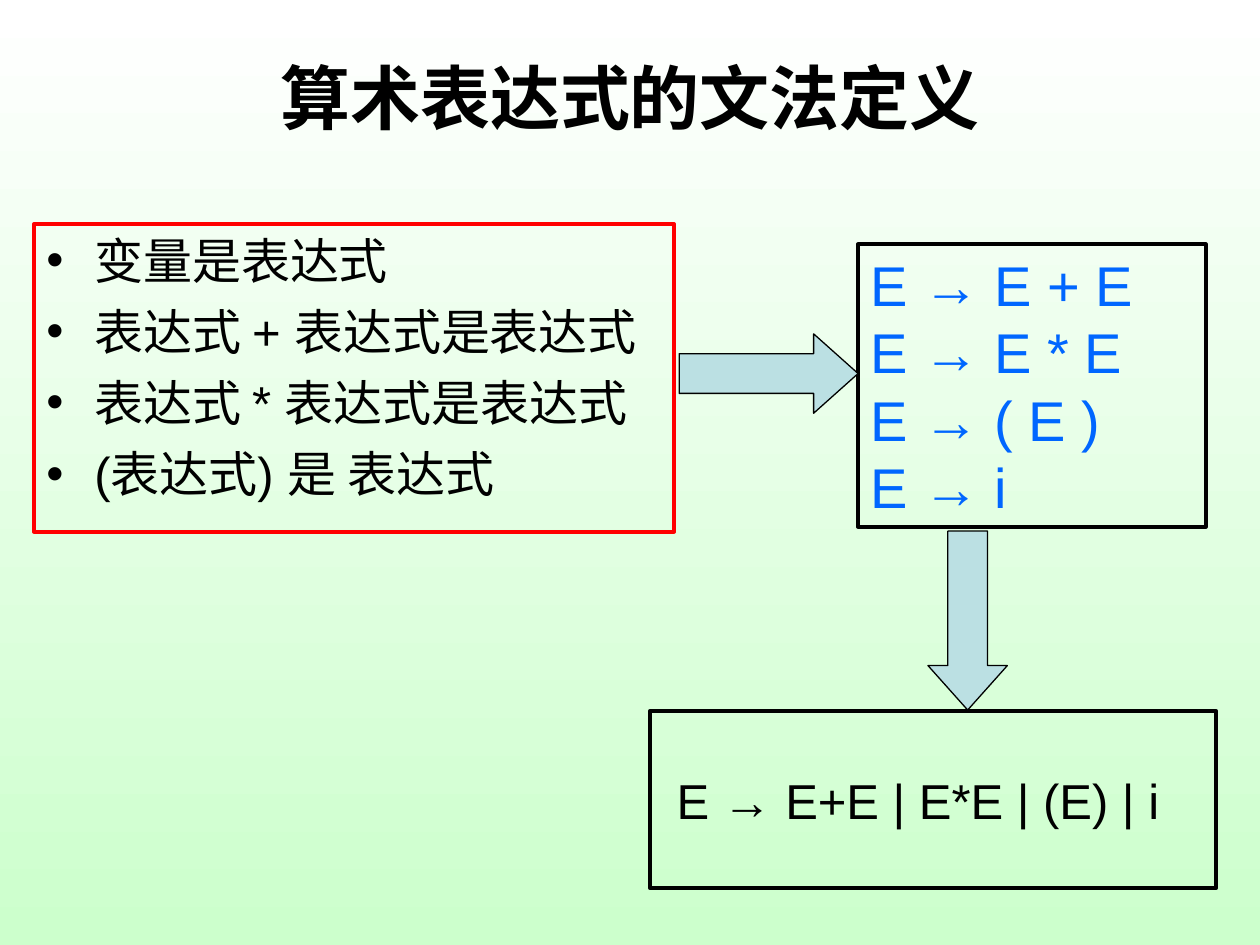
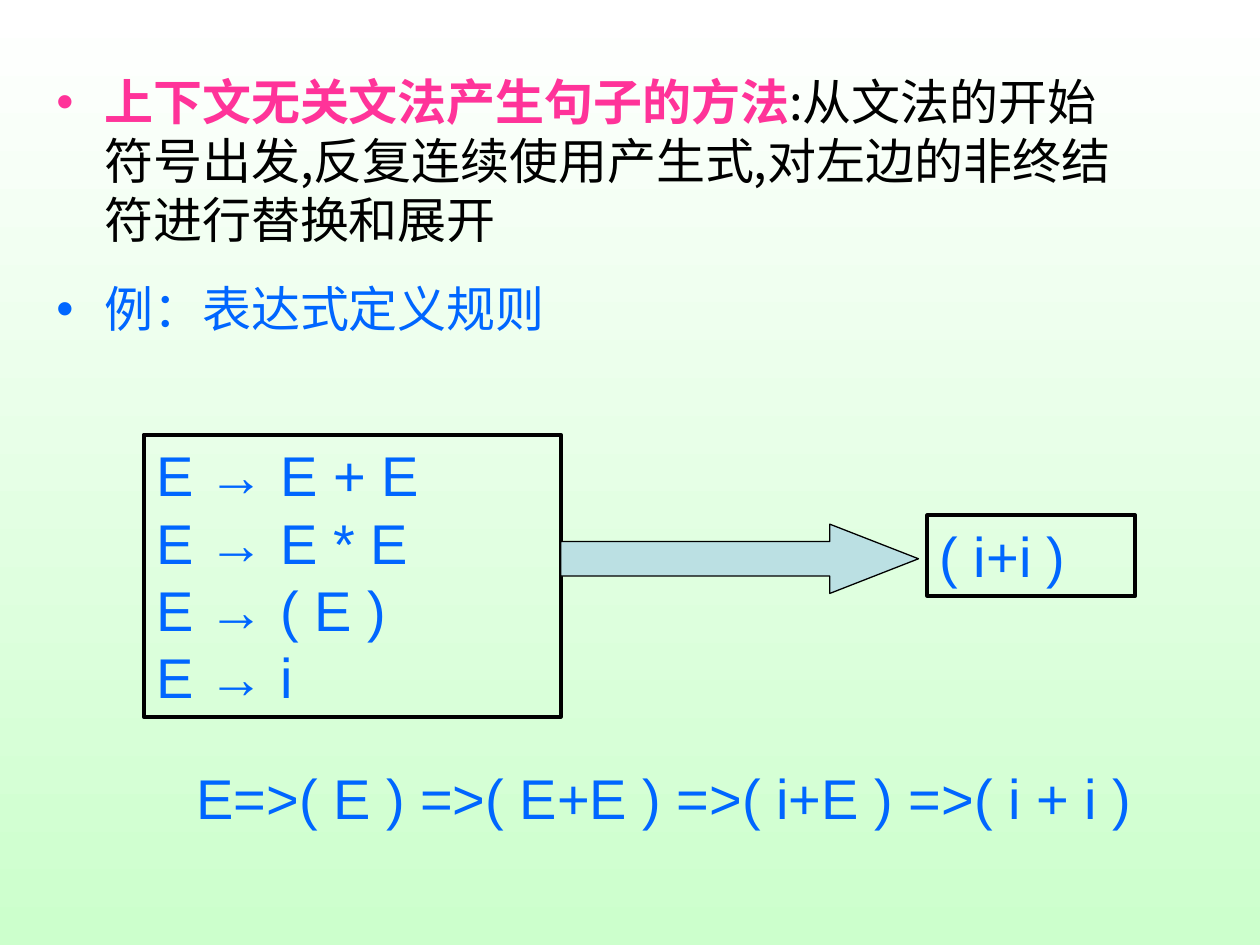
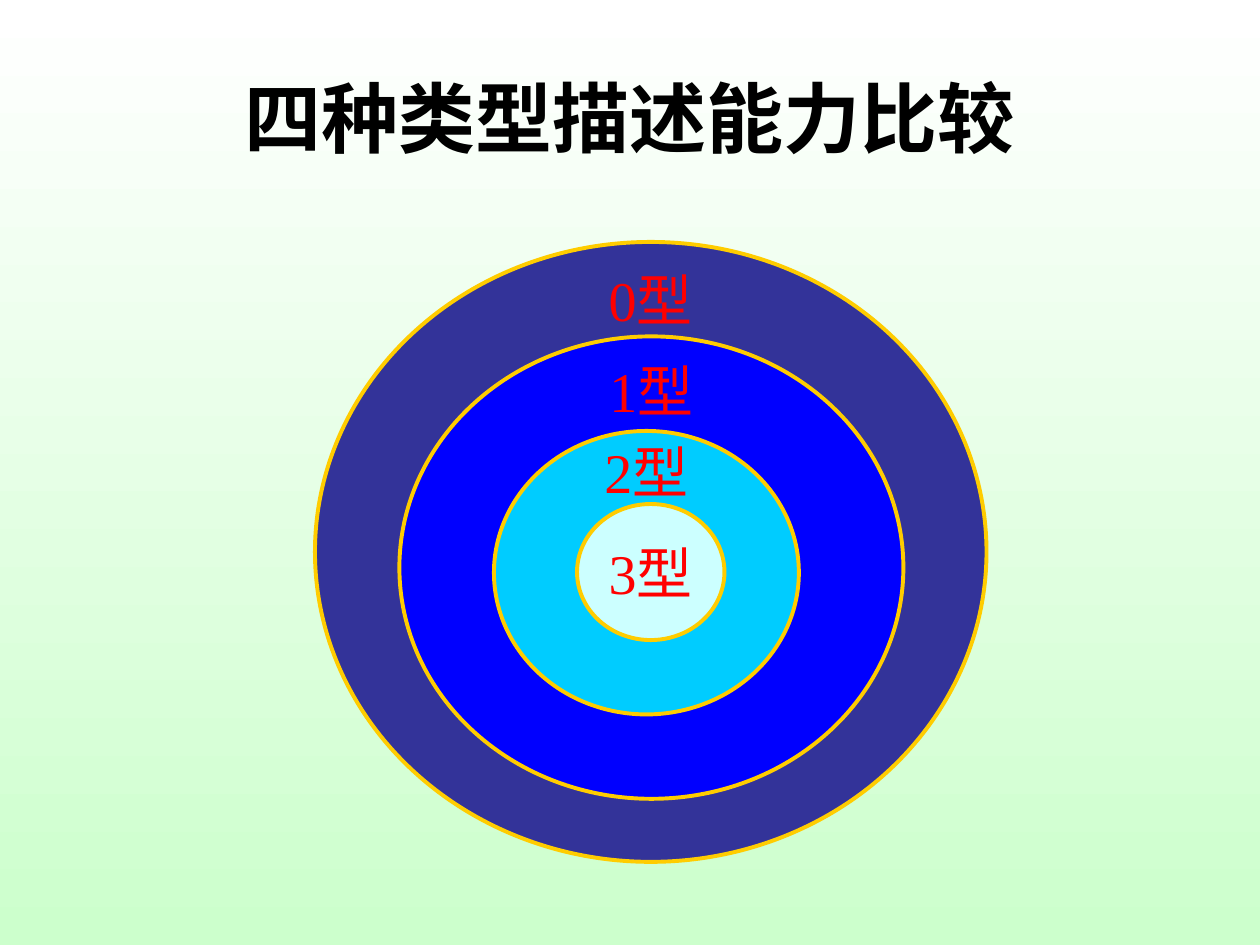
from dataclasses import dataclass

from lxml import etree
from pptx import Presentation
from pptx import util as u
from pptx.dml.color import RGBColor
from pptx.enum import shapes, text
from pptx.oxml import ns


@dataclass(frozen=True)
class Theme:
    black: str = "000000"
    white: str = "FFFFFF"
    mint: str = "CCFFCC"
    red: str = "FF0000"
    pink: str = "FF3399"
    blue: str = "0066FF"
    arrow: str = "BBE0E3"
    gold: str = "FFCC00"
    rings: tuple = ("333399", "0000FF", "00CCFF", "CCFFFF")
    cjk: str = "Noto Sans CJK SC"
    sans: str = "Arial"
    serif: str = "Times New Roman"
    title: int = 44
    title_small: int = 40
    rule: int = 32
    body: int = 28
    thick: float = 2.25
    thin: float = 0.75


T = Theme()
SHAPE = shapes.MSO_SHAPE
CENTER = text.PP_ALIGN.CENTER
MIDDLE = text.MSO_ANCHOR.MIDDLE


def add_block(slide, at, kind=None, fill=None, line=None, width=T.thick):
    """Add a preset shape, or a text box when no kind is given."""
    box = [u.Inches(v) for v in at]
    if kind is None:
        return slide.shapes.add_textbox(*box)
    block = slide.shapes.add_shape(kind, *box)
    block.shadow.inherit = False
    if fill:
        block.fill.solid()
        block.fill.fore_color.rgb = RGBColor.from_string(fill)
    else:
        block.fill.background()
    block.line.color.rgb = RGBColor.from_string(line)
    block.line.width = u.Pt(width)
    return block


def write(block, paragraphs, size, color=T.black, font=T.sans, bold=False,
          align=text.PP_ALIGN.LEFT, anchor=text.MSO_ANCHOR.TOP, left=0.1,
          wrap=True, bullet=False, before=0, spacing=None):
    """Fill a block; a paragraph is a list of (text, colour, bold) runs or a string."""
    frame = block.text_frame
    frame.word_wrap = wrap
    frame.vertical_anchor = anchor
    frame.margin_left = u.Inches(left)
    for i, content in enumerate(paragraphs):
        par = frame.add_paragraph() if i else frame.paragraphs[0]
        runs = [(content, color, bold)] if isinstance(content, str) else content
        par.alignment = align
        if spacing:
            par.line_spacing = spacing
        if i and before:
            par.space_before = u.Pt(before)
        if bullet:
            props = par._p.get_or_add_pPr()
            props.set("marL", str(u.Inches(0.38)))
            props.set("indent", str(-u.Inches(0.38)))
            tint = etree.SubElement(props, ns.qn("a:buClr"))
            etree.SubElement(tint, ns.qn("a:srgbClr"), val=runs[0][1])
            etree.SubElement(props, ns.qn("a:buFont"), typeface=T.sans)
            etree.SubElement(props, ns.qn("a:buChar"), char="•")
        for words, tone, heavy in runs:
            run = par.add_run()
            run.text = words
            run.font.size = u.Pt(size)
            run.font.bold = heavy
            run.font.name = font
            run.font.color.rgb = RGBColor.from_string(tone)
            east = etree.SubElement(run._r.get_or_add_rPr(), ns.qn("a:ea"))
            east.set("typeface", T.cjk)


prs = Presentation()
prs.slide_width, prs.slide_height = u.Inches(10), u.Inches(7.5)

# Shared background: white fading down to mint
backdrop = prs.slide_master.background.fill
backdrop.gradient()
backdrop.gradient_angle = 270
for stop, tone in zip(backdrop.gradient_stops, (T.white, T.mint)):
    stop.color.rgb = RGBColor.from_string(tone)

grammar, derivation, hierarchy = [
    prs.slides.add_slide(prs.slide_layouts[6]) for _ in range(3)]

# Titles
for slide, title, height, size in (
        (grammar, "算术表达式的文法定义", 0.93, T.title_small),
        (hierarchy, "四种类型描述能力比较", 1.25, T.title)):
    write(add_block(slide, (0.5, 0.3, 9, height)), [title], size, font=T.cjk,
          bold=True, align=CENTER, anchor=MIDDLE)

# Production rules, shown on two slides
productions = ["E → E + E", "E → E * E", "E → ( E )", "E → i"]
for slide, at in ((grammar, (6.81, 1.94, 2.76, 2.24)),
                  (derivation, (1.14, 3.45, 3.31, 2.24))):
    write(add_block(slide, at, SHAPE.RECTANGLE, line=T.black), productions,
          T.rule, T.blue)

# Block arrows between the steps
for slide, at, turn, head in (
        (grammar, (5.39, 2.65, 1.42, 0.63), 0, 0.56),
        (grammar, (6.97, 4.61, 1.42, 0.63), 90, 0.56),
        (derivation, (4.45, 4.16, 2.84, 0.55), 0, 1.28)):
    step = add_block(slide, at, SHAPE.RIGHT_ARROW, T.arrow, T.black, T.thin)
    step.rotation = turn
    step.adjustments[0], step.adjustments[1] = 0.5, head

# Slide 1: definition in words and the short form
definition = add_block(grammar, (0.27, 1.78, 5.08, 2.44), SHAPE.RECTANGLE,
                       line=T.red)
write(definition,
      ["变量是表达式", "表达式 + 表达式是表达式", "表达式 * 表达式是表达式",
       "(表达式) 是 表达式"],
      T.body, bullet=True, before=7)
short_form = add_block(grammar, (5.16, 5.64, 4.49, 1.41), SHAPE.RECTANGLE,
                       line=T.black)
write(short_form, ["E → E+E | E*E | (E) | i"], T.body, anchor=MIDDLE, left=0.21)

# Slide 2: method, sentence and its derivation
method = [
    [("上下文无关文法产生句子的方法", T.pink, True),
     (":从文法的开始符号出发,反复连续使用产生式,对左边的非终结符进行替换和展开",
      T.black, False)],
    [("例：表达式定义规则", T.blue, False)],
]
write(add_block(derivation, (0.35, 0.52, 8.74, 2.36)), method, T.body,
      font=T.cjk, bullet=True, before=17.5)
sentence = add_block(derivation, (7.36, 4.09, 1.65, 0.64), SHAPE.RECTANGLE,
                     line=T.black)
write(sentence, ["( i+i )"], T.rule, T.blue)
write(add_block(derivation, (1.46, 6.11, 7.87, 0.53)),
      ["E=>( E ) =>( E+E ) =>( i+E ) =>( i + i )"], T.rule, T.blue, spacing=0.8)

# Slide 3: nested grammar types, each with its label's middle height
rings = (
    ((2.5, 1.92, 5.33, 4.92), 2.37),
    ((3.17, 2.67, 4, 3.67), 3.1),
    ((3.92, 3.42, 2.42, 2.25), 3.74),
    ((4.58, 4, 1.17, 1.08), 4.54),
)
for level, (at, middle) in enumerate(rings):
    add_block(hierarchy, at, SHAPE.OVAL, T.rings[level], T.gold)
    label = add_block(hierarchy, (at[0] + at[2] / 2 - 0.6, middle - 0.32, 1.2, 0.64))
    write(label, [f"{level}型"], T.rule, T.red, T.serif, align=CENTER,
          anchor=MIDDLE)

prs.save("out.pptx")
